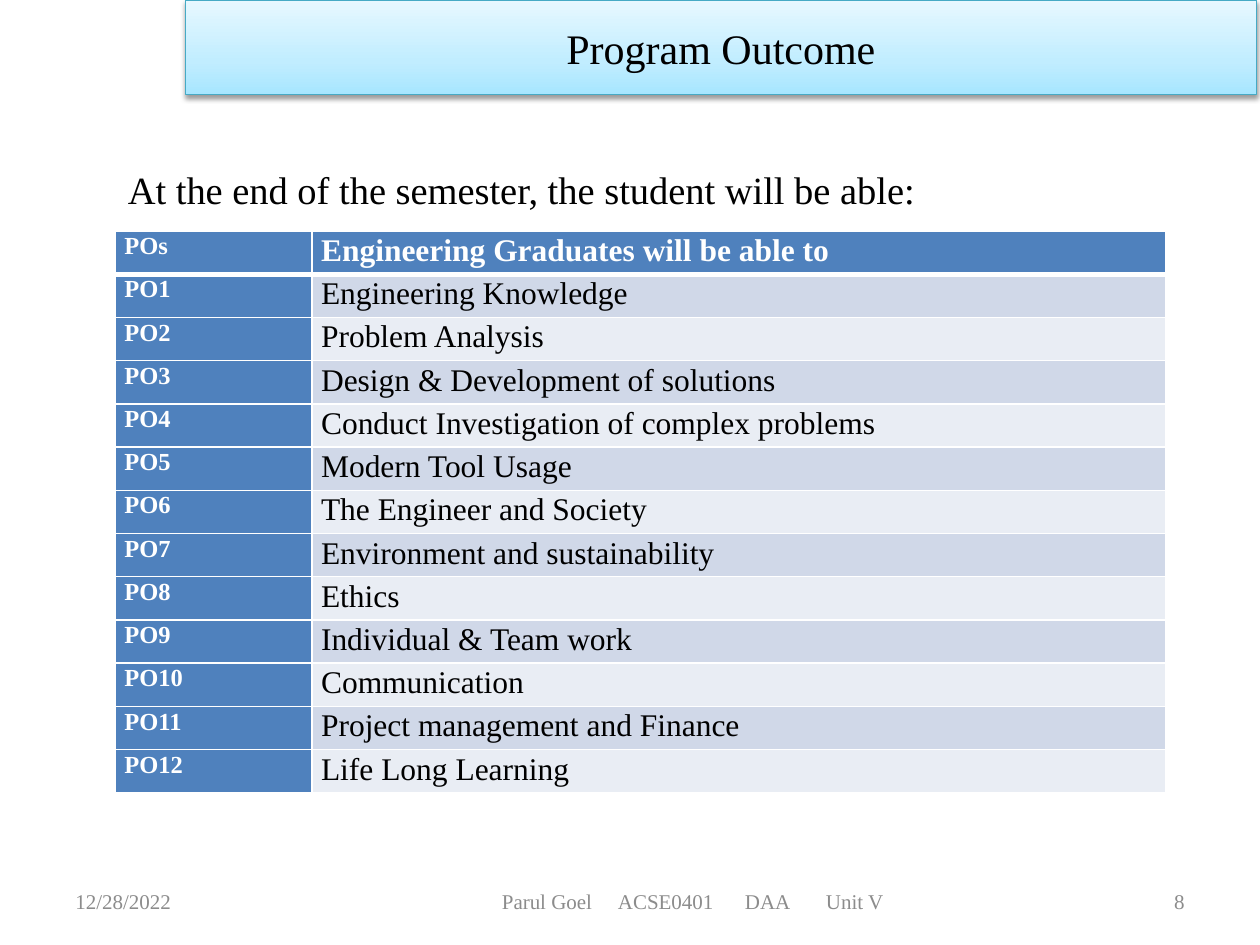
from dataclasses import dataclass
from typing import Any, NamedTuple

from lxml.etree import SubElement
from pptx import Presentation
from pptx.dml.color import RGBColor
from pptx.enum.shapes import MSO_SHAPE as Shape
from pptx.enum.text import MSO_ANCHOR as Anchor, MSO_AUTO_SIZE as AutoSize, PP_ALIGN as Align
from pptx.oxml.ns import qn
from pptx.util import Pt


@dataclass(frozen=True)
class Theme:
    font: str = "Times New Roman"
    ink: str = "000000"
    white: str = "FFFFFF"
    muted: str = "8C8C8C"
    accent: str = "4F81BD"
    bands: tuple = ("D0D8E8", "E9EDF4")
    banner_line: str = "46AAC5"
    banner_stops: tuple = ((0, "A7E6FF"), (35, "C1EDFF"), (100, "E7F8FF"))
    title_size: float = 24
    intro_size: float = 22
    outcome_size: float = 18
    code_size: float = 14
    footer_size: float = 12


THEME = Theme()


class Box(NamedTuple):
    left: float
    top: float
    width: float
    height: float

    def lengths(self) -> list:
        return [Pt(value) for value in self]


@dataclass(frozen=True)
class Label:
    text: str
    box: Box
    size: float
    color: str
    align: Any = Align.LEFT
    anchor: Any = Anchor.MIDDLE
    left_inset: float = 7.2
    tabs: tuple = ()
    auto_size: Any = AutoSize.NONE
    line_spacing: float = 1.0
    space_after: float = 0


FOOTER_TOP, FOOTER_HEIGHT = 500.5, 28.8
LABELS = (
    Label("12/28/2022", Box(36, FOOTER_TOP, 168, FOOTER_HEIGHT), THEME.footer_size, THEME.muted),
    Label("Parul Goel\tACSE0401\tDAA\tUnit V", Box(198, FOOTER_TOP, 396, FOOTER_HEIGHT),
          THEME.footer_size, THEME.muted, left_inset=88.8, tabs=(66.3, 138.9, 185.2)),
    Label("8", Box(516, FOOTER_TOP, 168, FOOTER_HEIGHT), THEME.footer_size, THEME.muted, Align.RIGHT),
    Label("At the end of the semester, the student will be able:", Box(66, 87.2, 612, 36),
          THEME.intro_size, THEME.ink, anchor=Anchor.TOP, auto_size=AutoSize.SHAPE_TO_FIT_TEXT,
          line_spacing=1.15, space_after=10),
)

BANNER = Box(106, 0, 612, 54)
TABLE = Box(66, 132, 600, 321.1)
CODE_WIDTH = 112.4
HEADINGS = ("POs", "Engineering Graduates will be able to")
OUTCOMES = (
    "Engineering Knowledge",
    "Problem Analysis",
    "Design & Development of solutions",
    "Conduct Investigation of complex problems",
    "Modern Tool Usage",
    "The Engineer and Society",
    "Environment and sustainability",
    "Ethics",
    "Individual & Team work",
    "Communication",
    "Project management and Finance",
    "Life Long Learning",
)


def set_attributes(target: Any, values: dict) -> None:
    for name, value in values.items():
        setattr(target, name, value)


def add_element(parent: Any, tag: str, **attributes: Any) -> Any:
    return SubElement(parent, qn(tag), {name: str(value) for name, value in attributes.items()})


def write(paragraph: Any, text: str, size: float, color: str, bold: bool = False, **layout: Any) -> None:
    set_attributes(paragraph, layout)
    run = paragraph.add_run()
    run.text = text
    set_attributes(run.font, {"name": THEME.font, "size": Pt(size), "bold": bold})
    run.font.color.rgb = RGBColor.from_string(color)


def add_label(slide: Any, label: Label) -> None:
    frame = slide.shapes.add_textbox(*label.box.lengths()).text_frame
    set_attributes(frame, {"word_wrap": True, "auto_size": label.auto_size,
                           "vertical_anchor": label.anchor, "margin_left": Pt(label.left_inset)})
    paragraph = frame.paragraphs[0]
    write(paragraph, label.text, label.size, label.color, alignment=label.align,
          line_spacing=label.line_spacing, space_after=Pt(label.space_after))
    if label.tabs:
        tab_list = add_element(paragraph._p.get_or_add_pPr(), "a:tabLst")
        for position in label.tabs:
            add_element(tab_list, "a:tab", pos=Pt(position), algn="l")


def add_banner(slide: Any, title: str) -> None:
    shape = slide.shapes.add_shape(Shape.RECTANGLE, *BANNER.lengths())
    shape.line.color.rgb = RGBColor.from_string(THEME.banner_line)
    shape.line.width = Pt(0.75)
    shape.fill.gradient()
    shape.fill.gradient_angle = 90
    properties = shape._element.spPr
    stops = properties.find(".//" + qn("a:gsLst"))
    stops.clear()
    for percent, color in THEME.banner_stops:
        add_element(add_element(stops, "a:gs", pos=percent * 1000), "a:srgbClr", val=color)

    shape.shadow.inherit = False
    shadow = add_element(properties.find(qn("a:effectLst")), "a:outerShdw", blurRad=Pt(3.1),
                         dist=Pt(1.6), dir=90 * 60000, rotWithShape=0)
    add_element(add_element(shadow, "a:srgbClr", val=THEME.ink), "a:alpha", val=38000)

    shape.text_frame.vertical_anchor = Anchor.MIDDLE
    write(shape.text_frame.paragraphs[0], title, THEME.title_size, THEME.ink, alignment=Align.CENTER)


def add_borders(cell: Any, top: float, bottom: float) -> None:
    """Draw white cell borders; must run before the fill, which follows them in the XML."""
    properties = cell._tc.get_or_add_tcPr()
    for side, width in (("L", 1), ("R", 1), ("T", top), ("B", bottom)):
        line = add_element(properties, f"a:ln{side}", w=Pt(width))
        add_element(add_element(line, "a:solidFill"), "a:srgbClr", val=THEME.white)


def add_outcome_table(slide: Any) -> None:
    rows = [HEADINGS] + [(f"PO{number}", text) for number, text in enumerate(OUTCOMES, 1)]
    table = slide.shapes.add_table(len(rows), 2, *TABLE.lengths()).table
    for column, width in zip(table.columns, (CODE_WIDTH, TABLE.width - CODE_WIDTH)):
        column.width = Pt(width)
    for row_index, texts in enumerate(rows):
        table.rows[row_index].height = Pt(TABLE.height / len(rows))
        for column_index, text in enumerate(texts):
            cell = table.cell(row_index, column_index)
            heading = row_index == 0 or column_index == 0
            add_borders(cell, 3 if row_index == 1 else 1, 3 if row_index == 0 else 1)
            cell.fill.solid()
            fill = THEME.accent if heading else THEME.bands[(row_index - 1) % 2]
            cell.fill.fore_color.rgb = RGBColor.from_string(fill)
            set_attributes(cell, {"margin_left": Pt(5.1), "margin_right": Pt(5.1),
                                  "margin_top": 0, "margin_bottom": 0})
            write(cell.text_frame.paragraphs[0], text,
                  THEME.outcome_size if column_index else THEME.code_size,
                  THEME.white if heading else THEME.ink, heading, line_spacing=1.07)


def main() -> None:
    presentation = Presentation()
    set_attributes(presentation, {"slide_width": Pt(720), "slide_height": Pt(540)})
    slide = presentation.slides.add_slide(presentation.slide_layouts[6])
    add_banner(slide, "Program Outcome")
    for label in LABELS:
        add_label(slide, label)
    add_outcome_table(slide)
    presentation.save("out.pptx")


if __name__ == "__main__":
    main()
